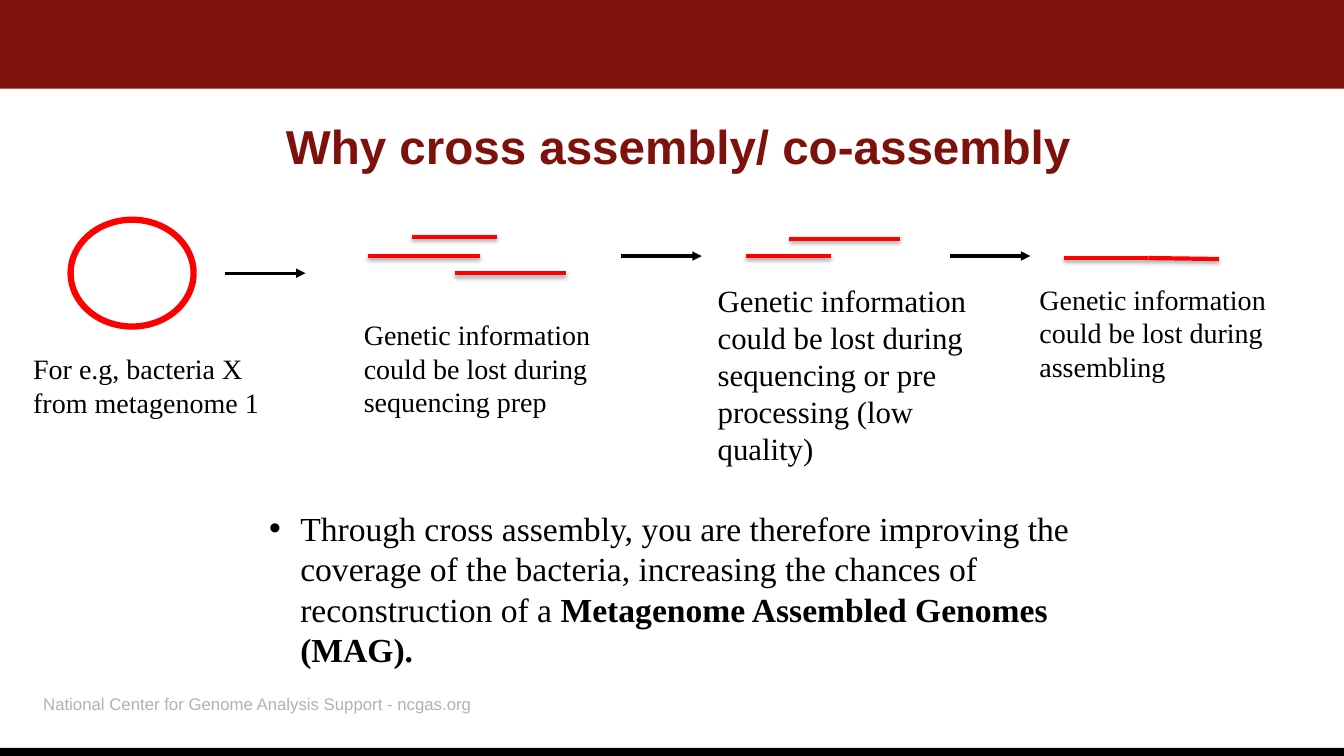
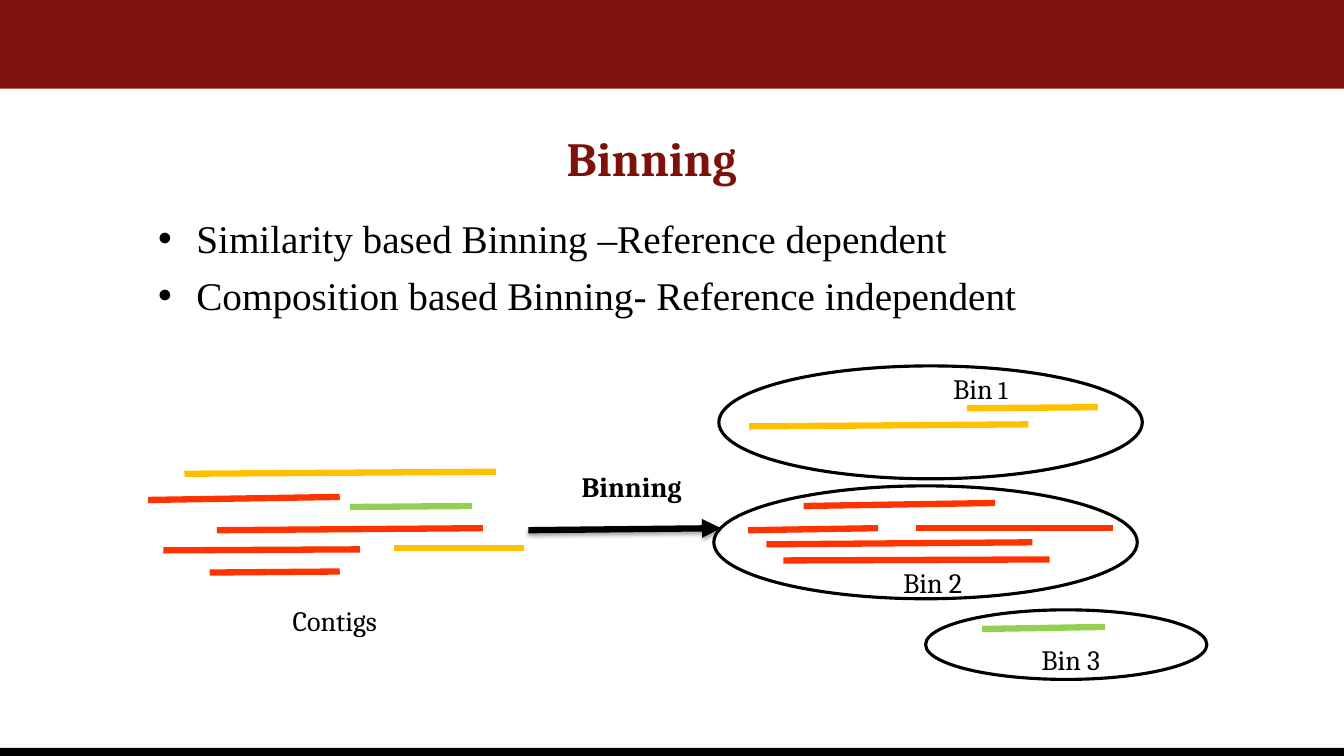
"""Build two slides on metagenome cross assembly and binning."""
from lxml.etree import SubElement
from pptx import Presentation
from pptx.dml.color import RGBColor
from pptx.enum.shapes import MSO_CONNECTOR as Connector, MSO_SHAPE as Shape
from pptx.enum.text import MSO_ANCHOR as Anchor, PP_ALIGN as Align
from pptx.oxml import parse_xml
from pptx.oxml.ns import nsdecls, qn
from pptx.util import Inches, Pt

WIDTH, HEIGHT = 13.33, 7.5
MAROON = RGBColor(0x7D, 0x11, 0x0C)
BLACK = RGBColor(0, 0, 0)
WHITE = RGBColor(0xFF, 0xFF, 0xFF)
GREY = RGBColor(0xB0, 0xB2, 0xB4)
RED = RGBColor(0xFF, 0, 0)
ORANGE = RGBColor(0xFF, 0x33, 0)
YELLOW = RGBColor(0xFF, 0xC0, 0)
GREEN = RGBColor(0x92, 0xD0, 0x50)

TITLE = {"name": "Arial", "size": Pt(34), "bold": True}
FOOTER = {"name": "Arial", "size": Pt(12)}
BODY = {"name": "Times New Roman", "size": Pt(20)}
LABEL = {"name": "Cambria", "size": Pt(20)}

EFFECTS = "<a:effectLst %s>%s</a:effectLst>"
SHADOW = (
    '<a:outerShdw blurRad="39370" dist="22860" dir="5400000" rotWithShape="0">'
    '<a:srgbClr val="000000"><a:alpha val="35000"/></a:srgbClr></a:outerShdw>'
)


class Deck:
    """Hold the shared style and the slide being drawn."""

    def __init__(self):
        self.presentation = Presentation()
        self.presentation.slide_width = Inches(WIDTH)
        self.presentation.slide_height = Inches(HEIGHT)
        self.slide = None

    def new_slide(self, title, left, top, **font):
        """Start a slide with its bands and title."""
        layout = self.presentation.slide_layouts[6]
        self.slide = self.presentation.slides.add_slide(layout)
        self.shape(Shape.RECTANGLE, (0, 7.42, WIDTH, 0.08), fill=BLACK)
        self.shape(Shape.RECTANGLE, (0, 0, WIDTH, 0.88), fill=MAROON)
        self.text((left, top, 10.37, 1.25), [title], TITLE | font, MAROON,
                  align=Align.CENTER, anchor=Anchor.MIDDLE)

    def shape(self, kind, place, fill=None, line=None, weight=0):
        """Add a preset shape with an optional fill and outline."""
        shape = self.slide.shapes.add_shape(kind, *map(Inches, place))
        shape.shadow.inherit = False
        for paint, colour in ((shape.fill, fill), (shape.line.fill, line)):
            if colour is None:
                paint.background()
            else:
                paint.solid()
                paint.fore_color.rgb = colour
        if line is not None:
            shape.line.width = Pt(weight)

    def line(self, ends, colour, weight, arrow=False, shadow=False):
        """Add a straight line given as x1, y1, x2, y2."""
        connector = self.slide.shapes.add_connector(
            Connector.STRAIGHT, *map(Inches, ends))
        connector.line.color.rgb = colour
        connector.line.width = Pt(weight)
        properties = connector.element.spPr
        if arrow:
            SubElement(properties.find(qn("a:ln")), qn("a:tailEnd"), type="triangle")
        effects = EFFECTS % (nsdecls("a"), SHADOW if shadow else "")
        properties.append(parse_xml(effects))

    def text(self, place, paragraphs, font, colour=BLACK, align=Align.LEFT,
             anchor=Anchor.TOP, indent=0, gap=0):
        """Add a text box; a paragraph is a string or a list of (text, font) runs."""
        frame = self.slide.shapes.add_textbox(*map(Inches, place)).text_frame
        frame.word_wrap = True
        frame.vertical_anchor = anchor
        for index, runs in enumerate(paragraphs):
            paragraph = frame.add_paragraph() if index else frame.paragraphs[0]
            paragraph.alignment = align
            if index:
                paragraph.space_before = Pt(gap)
            if indent:
                self.bullet(paragraph, indent)
            for words, changes in [(runs, {})] if isinstance(runs, str) else runs:
                run = paragraph.add_run()
                run.text = words
                for name, value in (font | changes).items():
                    setattr(run.font, name, value)
                run.font.color.rgb = colour

    def bullet(self, paragraph, indent):
        """Give a paragraph a hanging round bullet."""
        properties = paragraph._p.get_or_add_pPr()
        properties.set("marL", str(Inches(indent)))
        properties.set("indent", str(-Inches(indent)))
        SubElement(properties, qn("a:buFont"), typeface="Arial")
        SubElement(properties, qn("a:buChar"), char="•")


def cross_assembly(deck):
    """Draw the loss of genetic information from genome to assembly."""
    deck.new_slide("Why cross assembly/ co-assembly ", 1.61, 0.82)
    deck.text((0.33, 6.83, 7.22, 0.33),
              ["National Center for Genome Analysis Support - ncgas.org"], FOOTER, GREY)
    deck.shape(Shape.OVAL, (0.7, 2.18, 1.22, 1.06), WHITE, RED, 4.5)
    fragments = [
        (4.09, 2.35, 4.93, 2.35), (3.65, 2.54, 4.76, 2.54), (4.51, 2.71, 5.61, 2.71),
        (7.83, 2.37, 8.93, 2.37), (7.4, 2.54, 8.24, 2.54),
        (11.39, 2.56, 12.09, 2.57), (10.55, 2.56, 11.39, 2.56),
    ]
    for fragment in fragments:
        deck.line(fragment, RED, 3, shadow=True)
    for left, top in ((2.23, 2.71), (6.16, 2.54), (9.42, 2.54)):
        deck.line((left, top, left + 0.8, top), BLACK, 2.25, arrow=True)
    lost = "Genetic information could be lost during "
    captions = [
        ((0.23, 3.44, 2.49, 0.77), "For e.g, bacteria X from metagenome 1", 20),
        ((3.51, 3.1, 2.83, 1.11), lost + "sequencing prep", 20),
        ((7.02, 2.75, 2.8, 1.95), lost + "sequencing or pre processing (low quality)", 22),
        ((10.21, 2.75, 2.49, 1.11), lost + "assembling", 20),
    ]
    for place, caption, size in captions:
        deck.text(place, [caption], BODY | {"size": Pt(size)})
    conclusion = [
        ("Through cross assembly, you are therefore improving the coverage of the "
         "bacteria, increasing the chances of reconstruction of a ", {}),
        ("Metagenome Assembled Genomes (MAG).", {"bold": True}),
    ]
    deck.text((2.57, 4.99, 8.74, 1.72), [conclusion], BODY | {"size": Pt(24)},
              indent=0.31)


def binning(deck):
    """Draw mixed contigs being sorted into three bins."""
    deck.new_slide("Binning ", 1.33, 0.94, name="Cambria")
    deck.text((1.47, 2.08, 10.37, 1.3),
              ["Similarity based Binning –Reference dependent",
               "Composition based Binning- Reference independent"],
              BODY | {"size": Pt(28)}, indent=0.38, gap=7)
    contigs = {
        YELLOW: [(1.83, 4.7, 4.92, 4.68), (3.91, 5.44, 5.2, 5.44),
                 (9.59, 4.05, 10.89, 4.04), (7.43, 4.23, 10.2, 4.21)],
        ORANGE: [(1.47, 4.96, 3.37, 4.93), (2.15, 5.26, 4.79, 5.24),
                 (1.62, 5.46, 3.57, 5.45), (2.08, 5.68, 3.37, 5.67),
                 (7.97, 5.02, 9.87, 4.99), (9.09, 5.24, 11.04, 5.24),
                 (7.42, 5.26, 8.71, 5.24), (7.6, 5.4, 10.24, 5.38),
                 (7.77, 5.56, 10.41, 5.55)],
        GREEN: [(3.47, 5.03, 4.68, 5.02), (9.74, 6.24, 10.96, 6.22)],
    }
    for colour, lines in contigs.items():
        for ends in lines:
            deck.line(ends, colour, 4.5)
    deck.line((5.24, 5.26, 7.15, 5.24), BLACK, 4.5, arrow=True, shadow=True)
    deck.text((5.67, 4.61, 2.41, 0.44), ["Binning"], LABEL | {"bold": True})
    small = {"size": Pt(18)}
    labels = [
        (1.98, 5.94, "Contigs"),
        (8.41, 3.64, [("Bin", {}), (" 1 ", small)]),
        (7.94, 5.56, "Bin 2 "),
        (9.28, 6.33, "Bin 3"),
    ]
    for left, top, label in labels:
        deck.text((left, top, 2.68, 0.44), [label], LABEL, align=Align.CENTER)
    bins = [(7.13, 3.63, 4.2, 1.12), (7.08, 4.82, 4.2, 1.12), (9.18, 6.05, 2.79, 0.69)]
    for place in bins:
        deck.shape(Shape.OVAL, place, line=BLACK, weight=2.25)


def main():
    """Build and save the presentation."""
    deck = Deck()
    cross_assembly(deck)
    binning(deck)
    deck.presentation.save("out.pptx")


if __name__ == "__main__":
    main()
